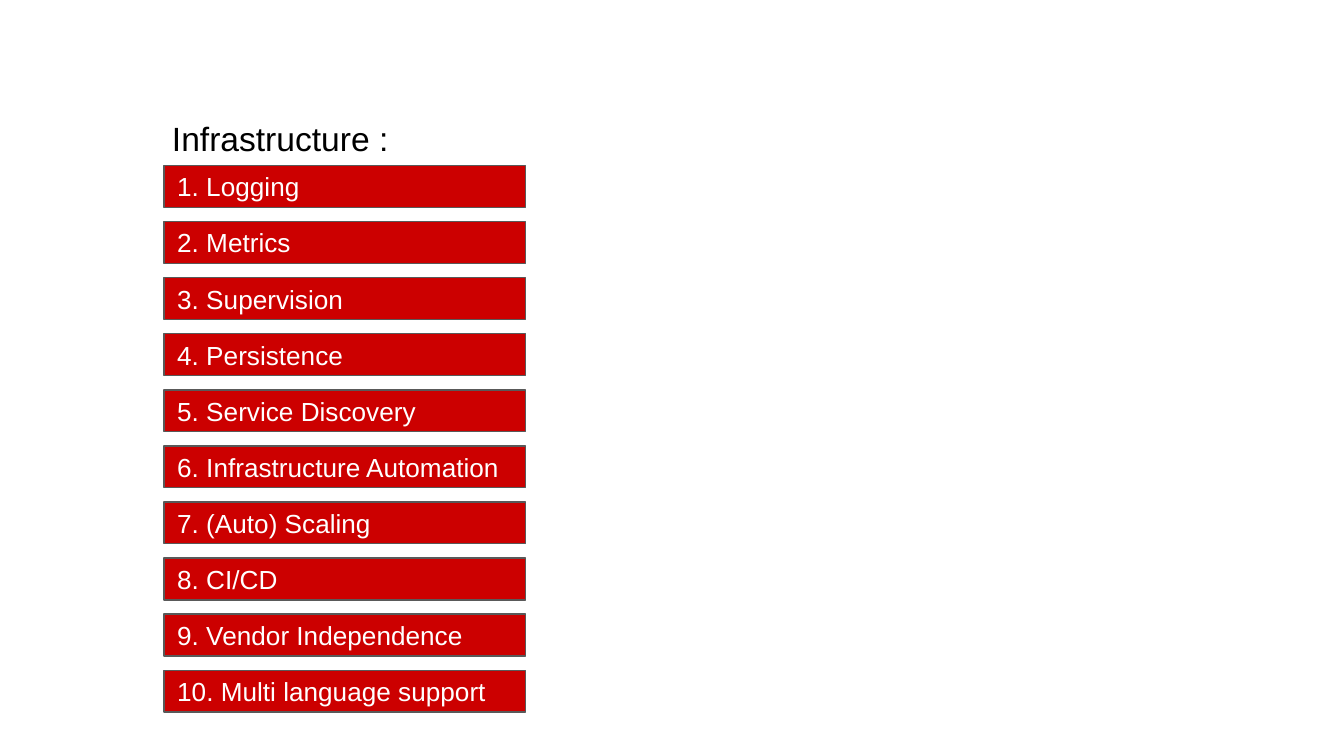
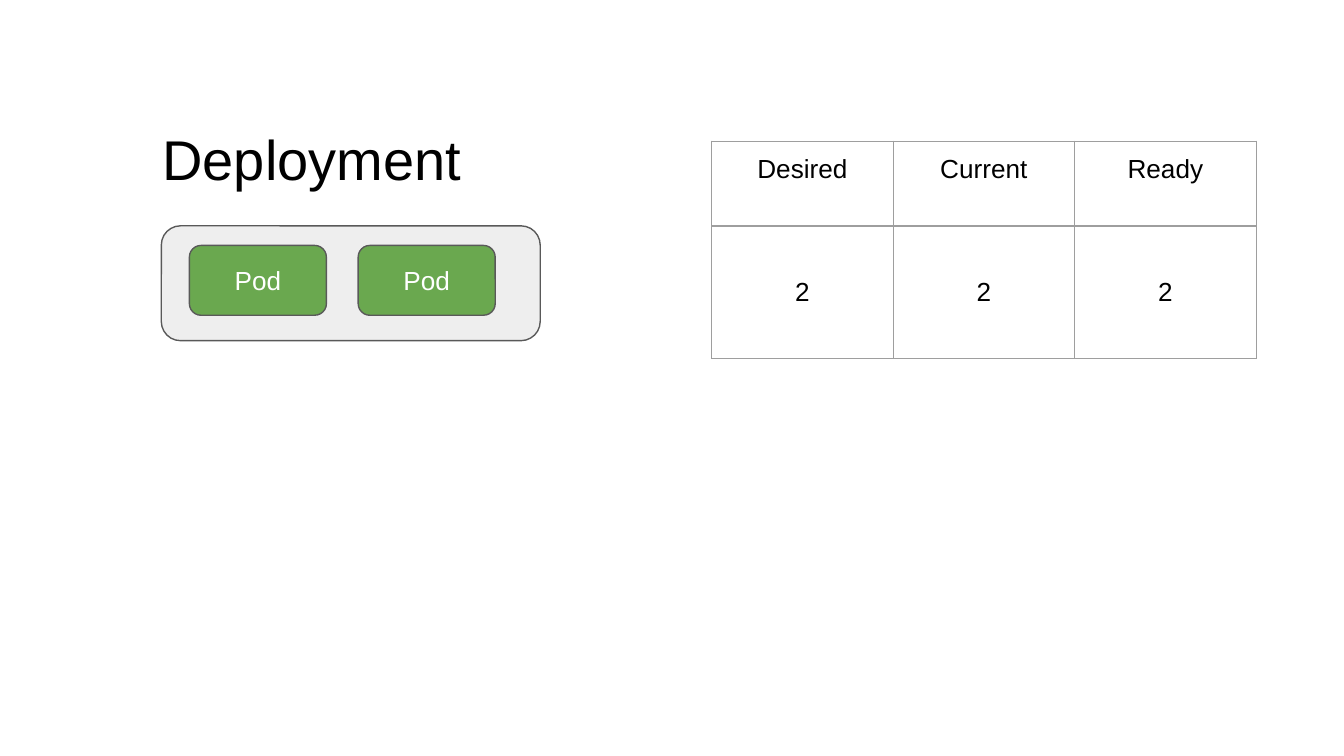
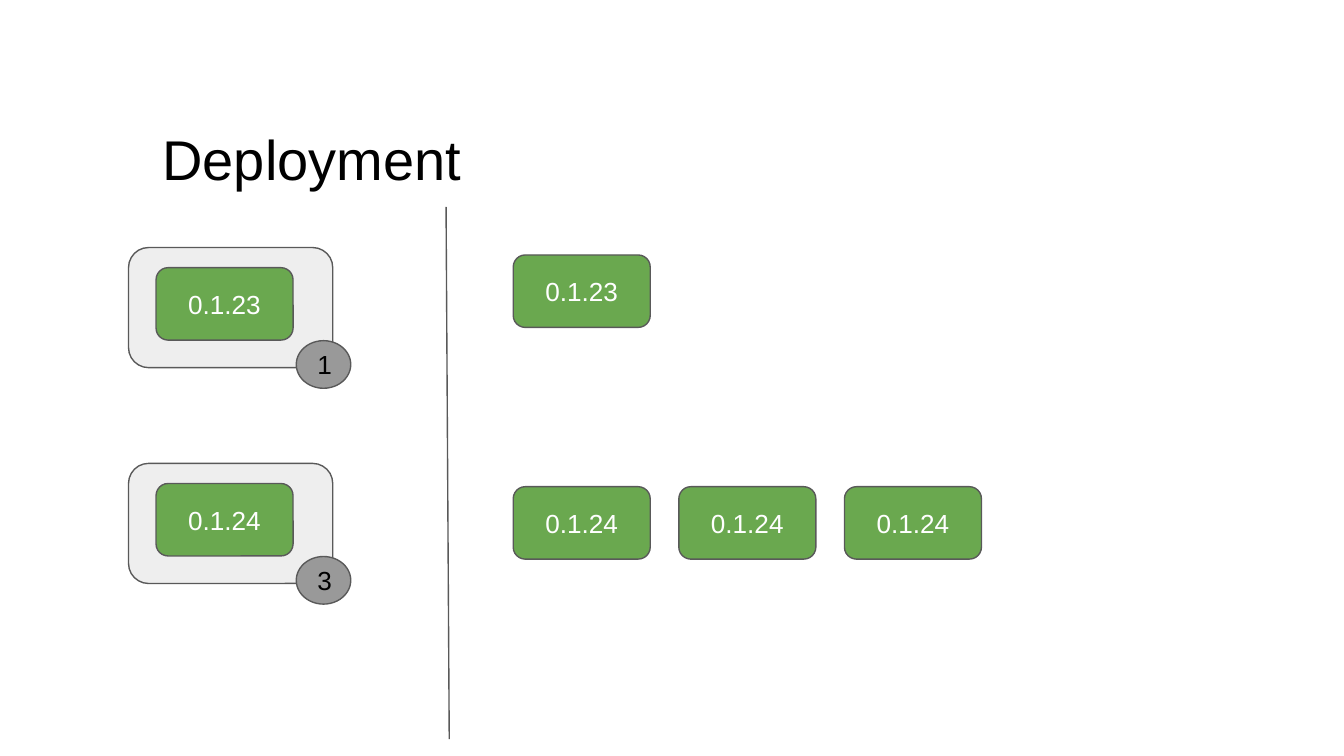
"""Build three slides on infrastructure concerns and deployments."""
from lxml import etree
from pptx import Presentation
from pptx.dml.color import RGBColor
from pptx.enum.shapes import MSO_CONNECTOR, MSO_SHAPE
from pptx.enum.text import MSO_ANCHOR, MSO_AUTO_SIZE, PP_ALIGN
from pptx.oxml.ns import qn
from pptx.util import Cm, Pt

RECT, ROUNDED, OVAL = MSO_SHAPE.RECTANGLE, MSO_SHAPE.ROUNDED_RECTANGLE, MSO_SHAPE.OVAL
STRAIGHT = MSO_CONNECTOR.STRAIGHT
TOP, MIDDLE = MSO_ANCHOR.TOP, MSO_ANCHOR.MIDDLE
LEFT, CENTER = PP_ALIGN.LEFT, PP_ALIGN.CENTER
NO_AUTOFIT = MSO_AUTO_SIZE.NONE

BLACK = RGBColor(0x00, 0x00, 0x00)
WHITE = RGBColor(0xFF, 0xFF, 0xFF)
RED = RGBColor(0xCC, 0x00, 0x00)
GREEN = RGBColor(0x6A, 0xA8, 0x4F)
PALE = RGBColor(0xEE, 0xEE, 0xEE)
GREY = RGBColor(0x99, 0x99, 0x99)
OUTLINE = RGBColor(0x59, 0x59, 0x59)
GRID = RGBColor(0x9E, 0x9E, 0x9E)

LINE_WIDTH = Pt(0.75)
MARGINS = {f"margin_{side}": Cm(0.25) for side in ("left", "right", "top", "bottom")}
FRAME = {**MARGINS, "word_wrap": True, "auto_size": NO_AUTOFIT}
POD_WIDTH = 2.59
TITLE_BOX = (2.82, 2.11, 14.88, 1.83)

CONCERNS = ["Logging", "Metrics", "Supervision", "Persistence", "Service Discovery",
            "Infrastructure Automation", "(Auto) Scaling", "CI/CD",
            "Vendor Independence", "Multi language support"]


def apply(target, values):
    for name, value in values.items():
        setattr(target, name, value)


class Deck:
    def __init__(self):
        self.prs = Presentation()
        apply(self.prs, {"slide_width": Cm(25.4), "slide_height": Cm(14.29)})
        self.s = None

    def label(self, tf, text, size=14, color=BLACK, align=CENTER):
        p = tf.paragraphs[0]
        p.alignment = align
        r = p.add_run()
        r.text = text
        apply(r.font, {"name": "Arial", "size": Pt(size)})
        r.font.color.rgb = color

    def slide(self, title, size=30, box=TITLE_BOX):
        self.s = self.prs.slides.add_slide(self.prs.slide_layouts[5])
        sp = self.s.shapes.title
        apply(sp, dict(zip(("left", "top", "width", "height"), map(Cm, box))))
        apply(sp.text_frame, {**FRAME, "vertical_anchor": TOP})
        self.label(sp.text_frame, title, size, align=LEFT)

    def shape(self, kind, x, y, w, h, fill, text="", color=WHITE, align=CENTER):
        sp = self.s.shapes.add_shape(kind, *map(Cm, (x, y, w, h)))
        sp.shadow.inherit = False
        sp.fill.solid()
        sp.fill.fore_color.rgb = fill
        sp.line.color.rgb = OUTLINE
        sp.line.width = LINE_WIDTH
        if text:
            apply(sp.text_frame, {**FRAME, "vertical_anchor": MIDDLE})
            self.label(sp.text_frame, text, color=color, align=align)

    def pods(self, x, y, h, text, count=1, step=0):
        for i in range(count):
            self.shape(ROUNDED, x + i * step, y, POD_WIDTH, h, GREEN, text)

    def line(self, x1, y1, x2, y2):
        cxn = self.s.shapes.add_connector(STRAIGHT, *map(Cm, (x1, y1, x2, y2)))
        cxn.line.color.rgb = OUTLINE
        cxn.line.width = LINE_WIDTH
        etree.SubElement(cxn._element.spPr, qn("a:effectLst"))

    def border(self, cell):
        tcPr = cell._tc.get_or_add_tcPr()
        for side in ("L", "R", "T", "B"):
            ln = etree.SubElement(tcPr, qn(f"a:ln{side}"), w=str(LINE_WIDTH))
            fill = etree.SubElement(ln, qn("a:solidFill"))
            etree.SubElement(fill, qn("a:srgbClr"), val=str(GRID))

    def table(self, x, y, col_width, heights, rows, anchors):
        box = (x, y, col_width * len(rows[0]), sum(heights))
        table = self.s.shapes.add_table(len(rows), len(rows[0]), *map(Cm, box)).table
        apply(table, {"first_row": False, "horz_banding": False})
        for col in table.columns:
            col.width = Cm(col_width)
        for i, (height, row, anchor) in enumerate(zip(heights, rows, anchors)):
            table.rows[i].height = Cm(height)
            for j, text in enumerate(row):
                cell = table.cell(i, j)
                apply(cell, {**MARGINS, "vertical_anchor": anchor})
                self.border(cell)
                cell.fill.background()
                self.label(cell.text_frame, text)


def infrastructure(deck):
    deck.slide("Infrastructure :", 18, (3, 1.98, 13.28, 1.78))
    for i, concern in enumerate(CONCERNS):
        deck.shape(RECT, 3.1, 3.13 + i * 1.06, 6.83, 0.79, RED,
                   f"{i + 1}. {concern}", align=LEFT)


def replica_counts(deck):
    deck.slide("Deployment")
    deck.shape(ROUNDED, 3.05, 4.27, 7.16, 2.17, PALE)
    deck.pods(3.58, 4.64, 1.32, "Pod", 2, 3.19)
    deck.table(13.45, 2.67, 3.43, (1.6, 2.51),
               [("Desired", "Current", "Ready"), ("2", "2", "2")], (TOP, MIDDLE))


def version_rollout(deck):
    deck.slide("Deployment")
    deck.line(8.43, 3.91, 8.49, 13.97)
    for version, count, y, pods_y in (("0.1.23", 1, 4.68, 4.82), ("0.1.24", 3, 8.76, 9.2)):
        deck.shape(ROUNDED, 2.43, y, 3.86, 2.27, PALE)
        deck.pods(2.95, y + 0.38, 1.37, version)
        deck.shape(OVAL, 5.6, y + 1.76, 1.03, 0.9, GREY, str(count), BLACK)
        deck.pods(9.7, pods_y, 1.37, version, count, 3.13)


def main():
    deck = Deck()
    for build in (infrastructure, replica_counts, version_rollout):
        build(deck)
    deck.prs.save("out.pptx")


if __name__ == "__main__":
    main()
